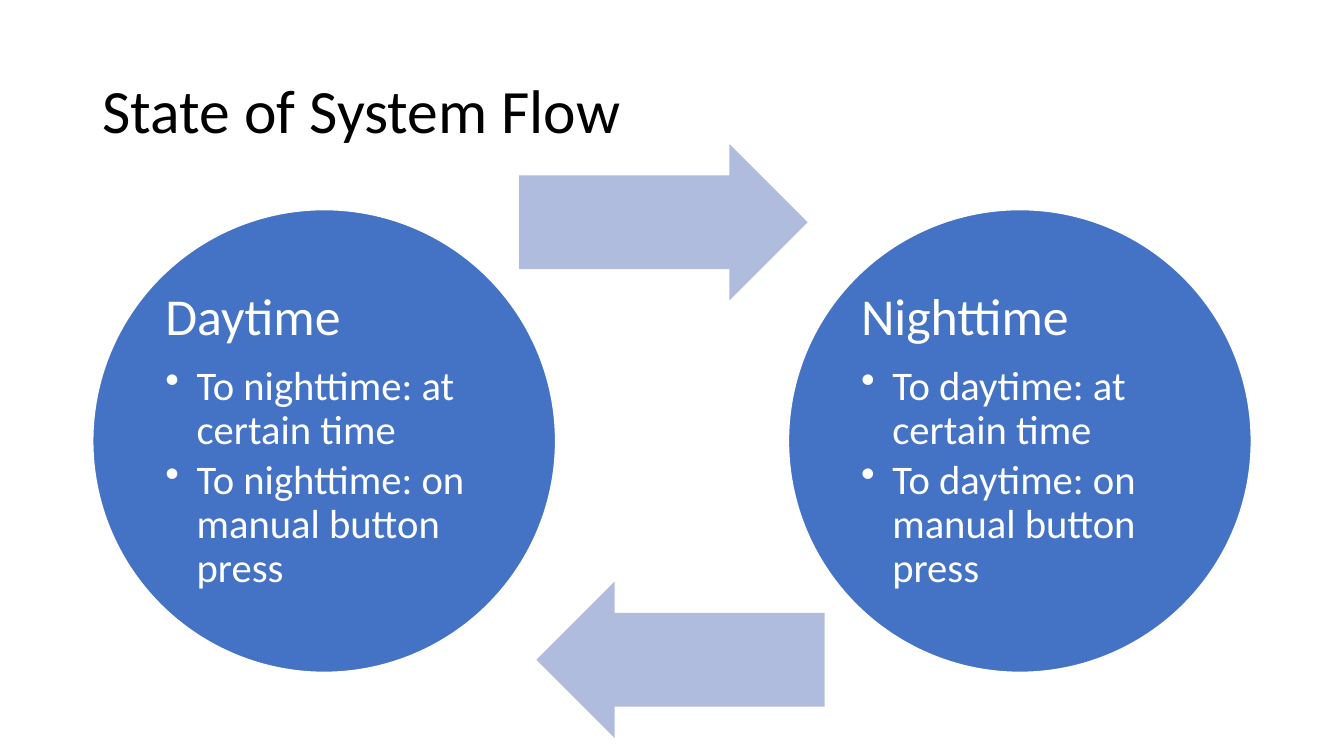
from pptx import Presentation
from pptx.dml.color import RGBColor
from pptx.enum.shapes import MSO_SHAPE
from pptx.enum.text import MSO_ANCHOR
from pptx.oxml.ns import qn
from pptx.util import Inches, Pt
from lxml import etree

COLORS = {"circle": "4472C4", "arrow": "B0BCDE", "white": "FFFFFF", "title": "000000"}


def add_text(s, left, top, width, height):
    tf = s.shapes.add_textbox(Inches(left), Inches(top), Inches(width), Inches(height)).text_frame
    tf.word_wrap = True
    tf.vertical_anchor = MSO_ANCHOR.MIDDLE
    return tf


def add_run(p, text, size, color):
    p.line_spacing = 0.9
    r = p.add_run()
    r.text = text
    r.font.name = "Calibri"
    r.font.size = Pt(size)
    r.font.color.rgb = RGBColor.from_string(COLORS[color])


prs = Presentation()
prs.slide_width = Inches(13.33)
prs.slide_height = Inches(7.5)
s = prs.slides.add_slide(prs.slide_layouts[6])

tf = add_text(s, 0.92, 0.4, 11.5, 1.45)
add_run(tf.paragraphs[0], "State of System Flow", 44, "title")

states = [
    (0.92, "Daytime", "nighttime", 5.15, 1.43, 0),
    (7.82, "Nighttime", "daytime", 5.32, 5.77, 180),
]
for left, state, target, arrow_left, arrow_top, rotation in states:
    circle = s.shapes.add_shape(MSO_SHAPE.OVAL, Inches(left), Inches(2.08), Inches(4.59), Inches(4.59))
    circle.shadow.inherit = False
    circle.fill.solid()
    circle.fill.fore_color.rgb = RGBColor.from_string(COLORS["circle"])
    circle.line.color.rgb = RGBColor.from_string(COLORS["white"])
    circle.line.width = Pt(1)

    tf = add_text(s, left + 0.67, 2.75, 3.25, 3.25)
    tf.margin_left = tf.margin_right = tf.margin_top = tf.margin_bottom = Inches(0.05)
    p = tf.paragraphs[0]
    p.space_after = Pt(13.5)
    add_run(p, state, 37, "white")
    for trigger in ("at certain time", "on manual button press"):
        p = tf.add_paragraph()
        p.level = 1
        p.space_after = Pt(4.5)
        add_run(p, f"To {target}: {trigger}", 29, "white")
        pPr = p._p.get_or_add_pPr()
        pPr.set("marL", str(Inches(0.31)))
        pPr.set("indent", str(Inches(-0.31)))
        etree.SubElement(pPr, qn("a:buChar")).set("char", "•")

    arrow = s.shapes.add_shape(
        MSO_SHAPE.RIGHT_ARROW, Inches(arrow_left), Inches(arrow_top), Inches(2.86), Inches(1.55)
    )
    arrow.adjustments[0] = 0.6
    arrow.adjustments[1] = 0.5
    arrow.rotation = rotation
    arrow.shadow.inherit = False
    arrow.fill.solid()
    arrow.fill.fore_color.rgb = RGBColor.from_string(COLORS["arrow"])
    arrow.line.fill.background()

prs.save("out.pptx")
